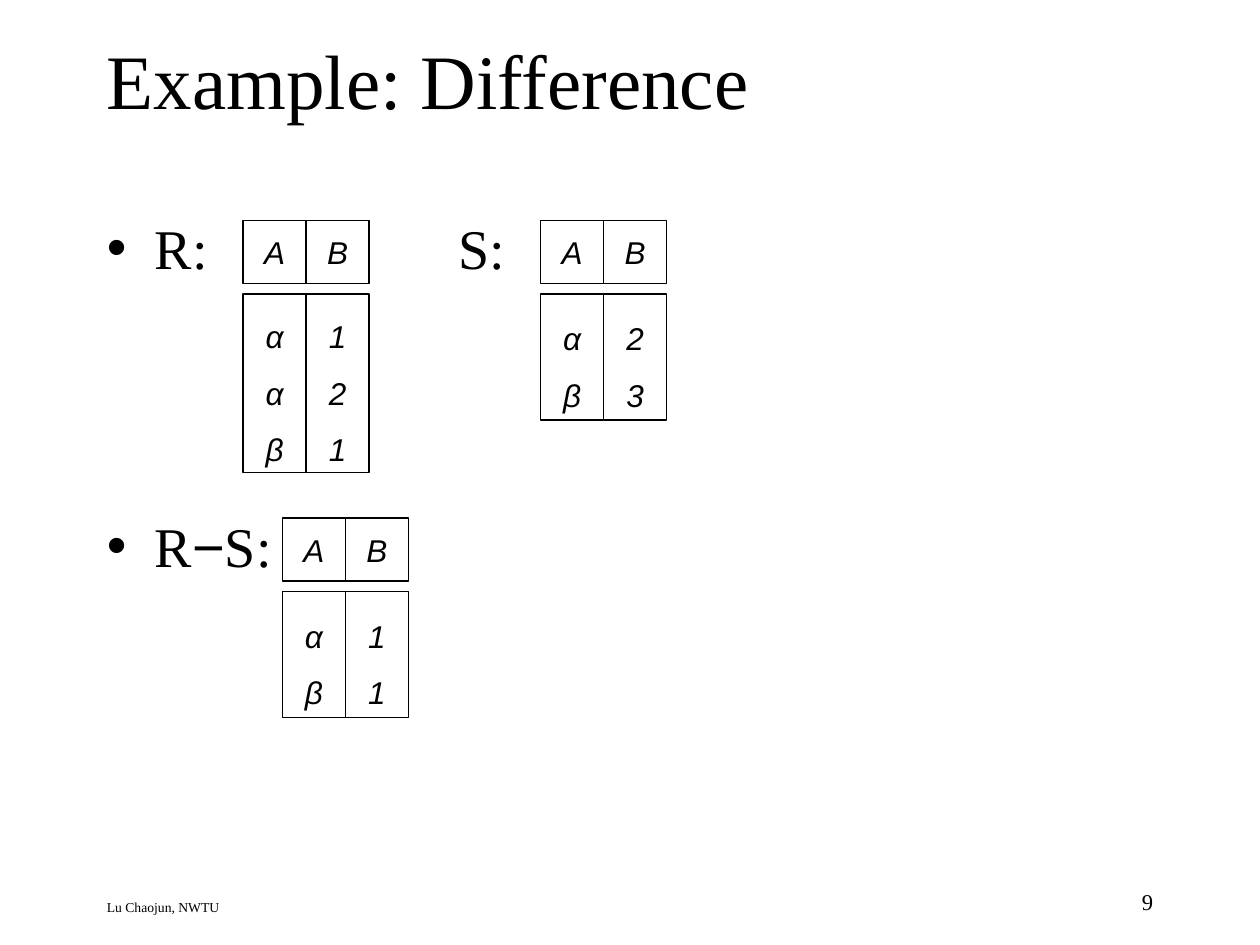
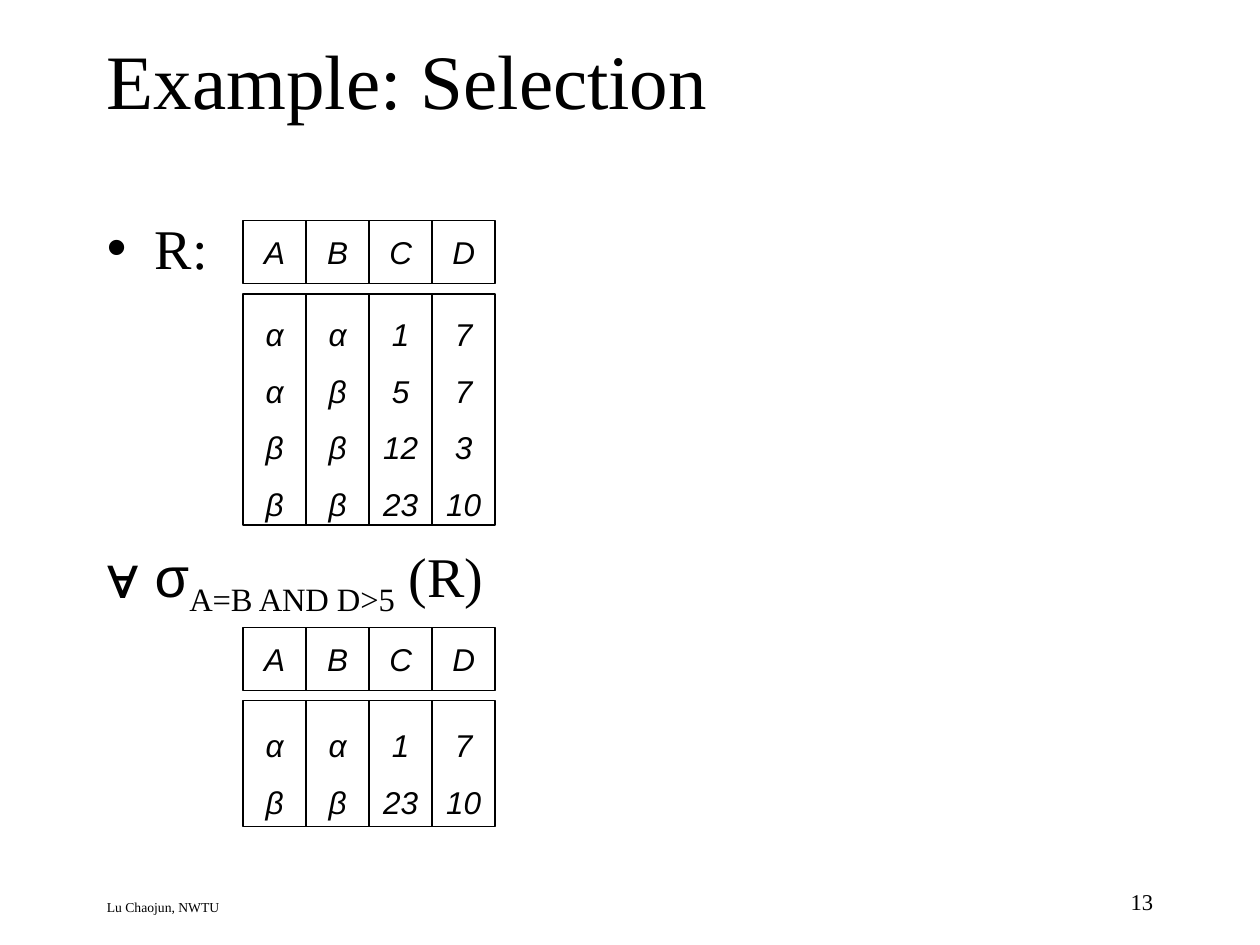
from lxml import etree
from pptx import Presentation
from pptx.dml.color import RGBColor
from pptx.enum.shapes import MSO_SHAPE
from pptx.enum.text import MSO_ANCHOR, PP_ALIGN
from pptx.oxml.ns import qn
from pptx.util import Inches, Pt

BLACK = RGBColor(0, 0, 0)
WHITE = RGBColor(255, 255, 255)
SERIF, SANS = "Times New Roman", "Arial"
LEFT, CENTER, RIGHT = PP_ALIGN.LEFT, PP_ALIGN.CENTER, PP_ALIGN.RIGHT
TOP, MIDDLE = MSO_ANCHOR.TOP, MSO_ANCHOR.MIDDLE
RECTANGLE = MSO_SHAPE.RECTANGLE

# The page is a grid of 120 columns by 90 rows; boxes are (left, top, width, height).
PAGE_COLUMNS, PAGE_ROWS = 120, 90
UNIT = Inches(10) / PAGE_COLUMNS
TITLE_BOX = (9, 0, 102, 15)
BODY_BOX = (9, 19, 102, 61)
AUTHOR_BOX = (9, 85, 69.6, 3)
NUMBER_BOX = (86, 84, 25, 4)
CELL, HEADER_GAP = 6, 1
BODY_SIZE = 32
BODY_TOP_INSET = Inches(0.11)
HANGING_INDENT = Inches(0.38)

AUTHOR = "Lu Chaojun, NWTU"


def grid(*lengths):
    return [round(length * UNIT) for length in lengths]


def style(para, size, font=SERIF, align=LEFT, italic=False):
    para.alignment = align
    para.font.size = Pt(size)
    para.font.name = font
    para.font.italic = italic
    para.font.color.rgb = BLACK


def add_frame(page, box, anchor=TOP):
    frame = page.shapes.add_textbox(*grid(*box)).text_frame
    frame.word_wrap = True
    frame.vertical_anchor = anchor
    return frame


def add_line(page, box, text, size, align=LEFT, anchor=TOP):
    """Add a text box holding one line."""
    frame = add_frame(page, box, anchor)
    frame.text = text
    style(frame.paragraphs[0], size, align=align)
    return frame


def set_bullet(para, symbol):
    properties = para._p.get_or_add_pPr()
    properties.set("marL", str(HANGING_INDENT))
    properties.set("indent", str(-HANGING_INDENT))
    etree.SubElement(properties, qn("a:buFont"), typeface=SANS)
    etree.SubElement(properties, qn("a:buChar"), char=symbol)


def add_body(page, bullets):
    """Add bullets given as (symbol, space before, [(text, font, baseline)])."""
    frame = add_frame(page, BODY_BOX)
    frame.margin_top = BODY_TOP_INSET
    for index, (symbol, space, spans) in enumerate(bullets):
        para = frame.add_paragraph() if index else frame.paragraphs[0]
        style(para, BODY_SIZE)
        para.space_before = Pt(space)
        set_bullet(para, symbol)
        for text, font, baseline in spans:
            span = para.add_run()
            span.text = text
            span.font.name = font
            span.font.size = Pt(BODY_SIZE)
            if baseline:
                span._r.get_or_add_rPr().set("baseline", str(baseline * 1000))


def add_cell(page, box, lines, spacing=1.0):
    cell = page.shapes.add_shape(RECTANGLE, *grid(*box))
    cell.shadow.inherit = False
    cell.fill.solid()
    cell.fill.fore_color.rgb = WHITE
    cell.line.color.rgb = BLACK
    cell.line.width = Pt(0.75)
    frame = cell.text_frame
    frame.word_wrap = False
    frame.vertical_anchor = MIDDLE
    frame.text = "\n".join(lines)
    for para in frame.paragraphs:
        style(para, 18, SANS, CENTER, italic=True)
        para.line_spacing = spacing


def add_relation(page, left, top, names, rows):
    """Draw a relation as header cells above one tall cell per attribute."""
    values_top = top + CELL + HEADER_GAP
    values_height = 5 * len(rows) + 2
    for index, name in enumerate(names):
        add_cell(page, (left + index * CELL, top, CELL, CELL), [name])
    for index, values in enumerate(zip(*rows)):
        box = (left + index * CELL, values_top, CELL, values_height)
        add_cell(page, box, values, 1.5)


def add_page(deck, title, number):
    page = deck.slides.add_slide(deck.slide_layouts[6])
    add_line(page, AUTHOR_BOX, AUTHOR, 7.8)
    add_line(page, NUMBER_BOX, str(number), 12.9, RIGHT)
    add_line(page, TITLE_BOX, title, 44, anchor=MIDDLE)
    return page


def build_difference(deck):
    page = add_page(deck, "Example: Difference", 9)
    add_body(page, [
        ("•", 0, [("R:", SERIF, 0)]),
        ("•", 132, [("R", SERIF, 0), ("−", SANS, 0), ("S:", SERIF, 0)]),
    ])
    label = add_line(page, (42.5, BODY_BOX[1], 8, 8), "S:", BODY_SIZE)
    label.margin_top = BODY_TOP_INSET
    add_relation(page, 23.16, 21, "AB", ["α1", "α2", "β1"])
    add_relation(page, 51.5, 21, "AB", ["α2", "β3"])
    add_relation(page, 26.9, 49.33, "AB", ["α1", "β1"])


def build_selection(deck):
    page = add_page(deck, "Example: Selection", 13)
    add_body(page, [
        ("•", 0, [("R:", SERIF, 0)]),
        ("∀", 149, [("σ", SANS, 0), ("A=B AND D>5", SERIF, -25),
                    (" (R)", SERIF, 0)]),
    ])
    first, last = ("α", "α", "1", "7"), ("β", "β", "23", "10")
    middle = [("α", "β", "5", "7"), ("β", "β", "12", "3")]
    add_relation(page, 23.16, 21, "ABCD", [first, *middle, last])
    add_relation(page, 23.16, 59.75, "ABCD", [first, last])


def main():
    deck = Presentation()
    deck.slide_width, deck.slide_height = grid(PAGE_COLUMNS, PAGE_ROWS)
    build_difference(deck)
    build_selection(deck)
    deck.save("out.pptx")


if __name__ == "__main__":
    main()
